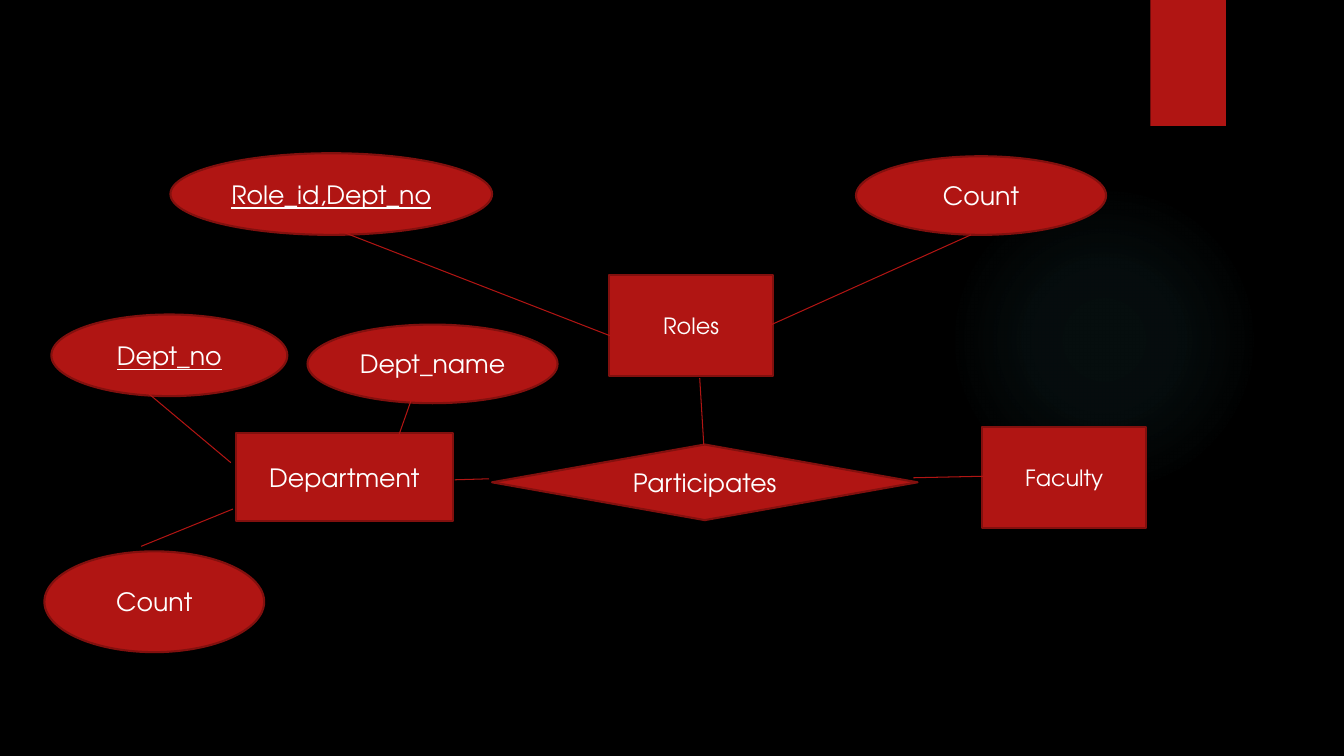
from lxml import etree
from pptx import Presentation
from pptx.dml.color import RGBColor
from pptx.enum import shapes, text
from pptx.oxml import parse_xml
from pptx.oxml.ns import nsdecls, qn
from pptx.util import Inches, Pt

COLORS = {"background": "000000", "red": "B01513", "outline": "82100E",
          "text": "FFFFFF", "glow": "50B9C1", "shadow": "000000"}
FONT = "TeX Gyre Adventor"
KIND = shapes.MSO_SHAPE


def color(name):
    return RGBColor.from_string(COLORS[name])


def write(shape, label, size=18, underline=False):
    frame = shape.text_frame
    frame.word_wrap = True
    frame.vertical_anchor = text.MSO_ANCHOR.MIDDLE
    paragraph = frame.paragraphs[0]
    paragraph.alignment = text.PP_ALIGN.CENTER
    run = paragraph.add_run()
    run.text = label
    run.font.name, run.font.size = FONT, Pt(size)
    run.font.underline = underline
    run.font.color.rgb = color("text")


def add_block(slide, kind, box, outlined=True):
    block = slide.shapes.add_shape(kind, *map(Inches, box))
    block.shadow.inherit = False
    block.fill.solid()
    block.fill.fore_color.rgb = color("red")
    if outlined:
        block.line.color.rgb = color("outline")
        block.line.width = Pt(1.5)
    else:
        block.line.fill.background()
    return block


def add_link(slide, origin, start, end):
    """Draw a line between two points given relative to the origin."""
    left, top = origin
    link = slide.shapes.add_connector(
        shapes.MSO_CONNECTOR.STRAIGHT,
        Inches(left + start[0]), Inches(top + start[1]),
        Inches(left + end[0]), Inches(top + end[1]))
    link.line.color.rgb = color("red")
    link.line.width = Pt(0.75)
    etree.SubElement(link._element.spPr, qn("a:effectLst"))


def add_backdrop(slide, glow_box, tab_box):
    slide.background.fill.solid()
    slide.background.fill.fore_color.rgb = color("background")

    # Soft round glow
    glow = add_block(slide, KIND.OVAL, glow_box, outlined=False)
    stops = "".join(
        f'<a:gs pos="{pos * 1000}"><a:srgbClr val="{COLORS["glow"]}">'
        f'<a:alpha val="{alpha * 1000}"/></a:srgbClr></a:gs>'
        for pos, alpha in ((0, 7), (36, 6), (69, 0)))
    gradient = parse_xml(
        f'<a:gradFill {nsdecls("a")} rotWithShape="1"><a:gsLst>{stops}</a:gsLst>'
        '<a:path path="circle"><a:fillToRect l="50000" t="50000" r="50000" b="50000"/>'
        '</a:path></a:gradFill>')
    properties = glow._element.spPr
    properties.replace(properties.find(qn("a:solidFill")), gradient)

    # Tab at the top edge
    tab = add_block(slide, KIND.RECTANGLE, tab_box, outlined=False)
    tab._element.spPr.find(qn("a:effectLst")).append(parse_xml(
        f'<a:outerShdw {nsdecls("a")} blurRad="{Pt(3)}" dist="{Pt(2)}" dir="5400000" '
        f'rotWithShape="0"><a:srgbClr val="{COLORS["shadow"]}">'
        '<a:alpha val="45000"/></a:srgbClr></a:outerShdw>'))


def add_entity(slide, box, name, size=18, attributes=()):
    """Draw an entity with its attributes, all placed from its top left corner."""
    left, top = box[:2]
    write(add_block(slide, KIND.RECTANGLE, box), name, size=size)
    for label, is_key, (dx, dy, width, height), start, end in attributes:
        attribute = add_block(slide, KIND.OVAL, (left + dx, top + dy, width, height))
        write(attribute, label, underline=is_key)
        add_link(slide, (left, top), start, end)


def add_relationship(slide, box, name, links):
    write(add_block(slide, KIND.DIAMOND, box), name)
    for start, end in links:
        add_link(slide, box[:2], start, end)


# Label, key or not, box, and link ends relative to the entity
DEPARTMENT_ATTRIBUTES = [
    ("Dept_no", True, (-1.83, -1.18, 2.34, 0.81), (-0.92, -0.44), (-0.05, 0.29)),
    ("Dept_name", False, (0.71, -1.08, 2.48, 0.78), (1.77, -0.42), (1.59, 0.09)),
    ("Count", False, (-1.9, 1.17, 2.18, 1), (-0.94, 1.12), (-0.03, 0.75)),
]
ROLES_ATTRIBUTES = [
    ("Role_id,Dept_no", True, (-4.35, -1.21, 3.19, 0.81), (-2.8, -0.49), (0.06, 0.62)),
    ("Count", False, (2.45, -1.18, 2.48, 0.78), (1.59, 0.5), (3.59, -0.4)),
]
# Link ends relative to the relationship: Faculty, Department, Roles
PARTICIPATES_LINKS = [
    ((4.18, 0.33), (5.1, 0.31)),
    ((-0.37, 0.35), (-0.03, 0.34)),
    ((2.06, -0.66), (2.1, 0)),
]


def main():
    deck = Presentation()
    deck.slide_width, deck.slide_height = Inches(13.33), Inches(7.5)
    slide = deck.slides.add_slide(deck.slide_layouts[6])
    add_backdrop(slide, (9.41, 1.83, 3.08, 3.08), (11.41, 0, 0.75, 1.25))
    add_entity(slide, (9.74, 4.24, 1.63, 1), "Faculty", size=16)
    add_entity(slide, (2.34, 4.3, 2.15, 0.87), "Department",
               attributes=DEPARTMENT_ATTRIBUTES)
    add_entity(slide, (6.04, 2.73, 1.63, 1), "Roles", size=16,
               attributes=ROLES_ATTRIBUTES)
    add_relationship(slide, (4.88, 4.41, 4.22, 0.75), "Participates",
                     PARTICIPATES_LINKS)
    deck.save("out.pptx")


if __name__ == "__main__":
    main()
